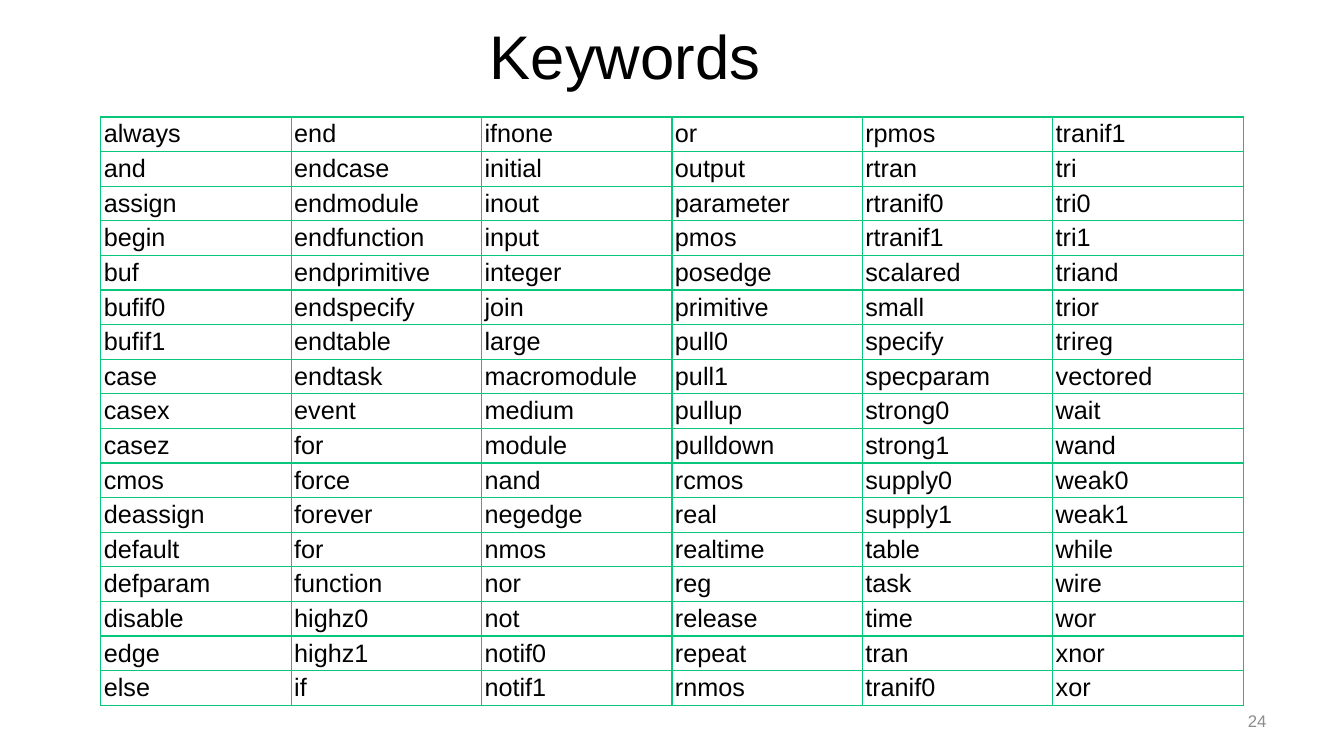
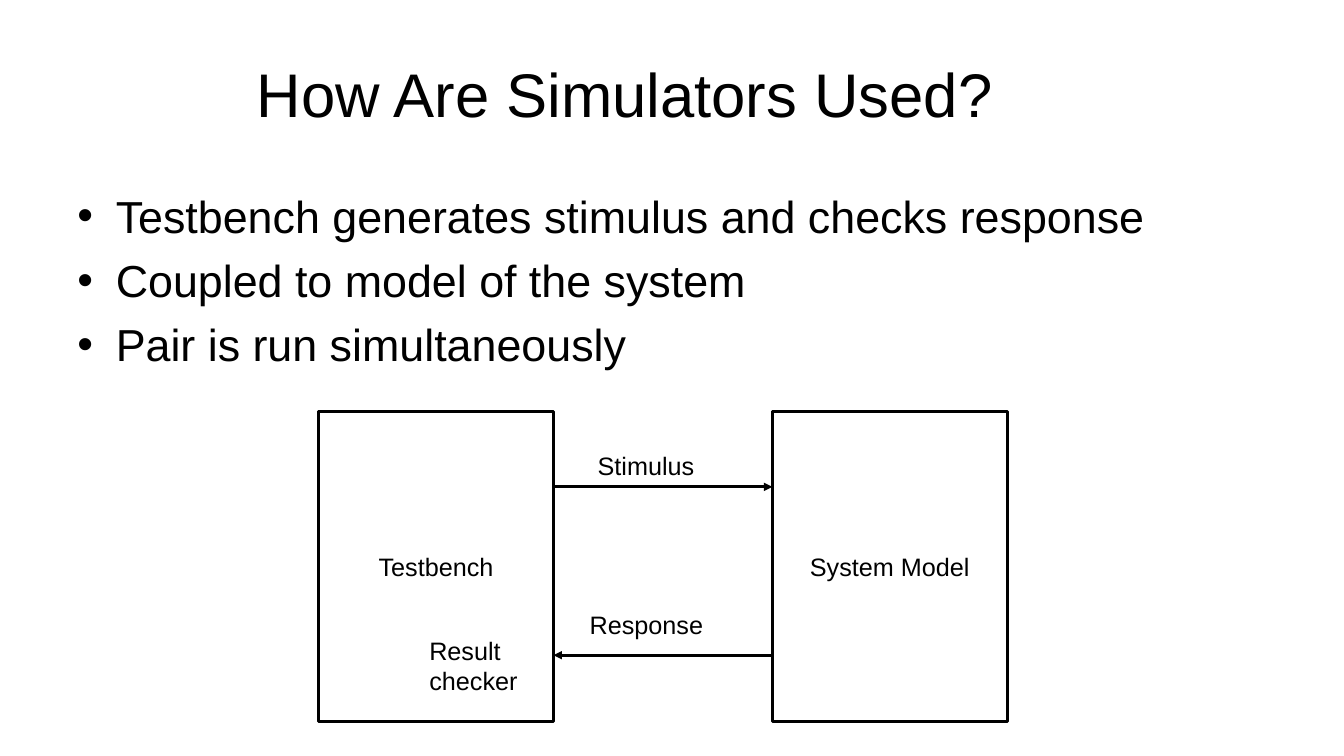
from lxml.etree import SubElement as Sub
from pptx import Presentation
from pptx.dml.color import RGBColor
from pptx.enum.shapes import MSO_CONNECTOR as Conn, MSO_SHAPE as Shape
from pptx.enum.text import MSO_ANCHOR as Anchor, PP_ALIGN as Align
from pptx.oxml.ns import qn
from pptx.util import Inches, Pt

INK, GREEN, GRAY = "000000", "09C77A", "8C8C8C"
TITLE = dict(size=44, align=Align.CENTER, anchor=Anchor.MIDDLE)
PAGE = dict(size=12, ink=GRAY, align=Align.RIGHT, anchor=Anchor.MIDDLE)
BODY = dict(size=32, bullet=0.38, gap=7.4)
BLOCK = dict(align=Align.CENTER, anchor=Anchor.MIDDLE, wrap=False)

WORDS = """
always end ifnone or rpmos tranif1
and endcase initial output rtran tri
assign endmodule inout parameter rtranif0 tri0
begin endfunction input pmos rtranif1 tri1
buf endprimitive integer posedge scalared triand
bufif0 endspecify join primitive small trior
bufif1 endtable large pull0 specify trireg
case endtask macromodule pull1 specparam vectored
casex event medium pullup strong0 wait
casez for module pulldown strong1 wand
cmos force nand rcmos supply0 weak0
deassign forever negedge real supply1 weak1
default for nmos realtime table while
defparam function nor reg task wire
disable highz0 not release time wor
edge highz1 notif0 repeat tran xnor
else if notif1 rnmos tranif0 xor
"""


def color(code):
    return RGBColor.from_string(code)


def apply(target, values):
    for name, value in values.items():
        setattr(target, name, value)


def write(frame, lines, size=18, ink=INK, align=Align.LEFT,
          anchor=Anchor.TOP, wrap=True, bullet=0, gap=0):
    apply(frame, dict(word_wrap=wrap, vertical_anchor=anchor))
    for i, line in enumerate(lines):
        para = frame.add_paragraph() if i else frame.paragraphs[0]
        para.alignment = align
        if i and gap:
            para.space_before = Pt(gap)
        if bullet:
            props = para._p.get_or_add_pPr()
            props.set("marL", str(Inches(bullet)))
            props.set("indent", str(-Inches(bullet)))
            Sub(props, qn("a:buFont"), typeface="Arial")
            Sub(props, qn("a:buChar"), char="•")
        run = para.add_run()
        run.text = line
        apply(run.font, dict(name="Arial", size=Pt(size)))
        run.font.color.rgb = color(ink)


def label(shapes, box, *lines, **style):
    frame = shapes.add_textbox(*map(Inches, box)).text_frame
    write(frame, lines, **style)
    return frame


def title(slide, top, text):
    label(slide.shapes, (0.66, top, 11.08, 1.25), text, **TITLE)


def border(cell, code, width):
    props = cell._tc.get_or_add_tcPr()
    for side in ("lnL", "lnR", "lnT", "lnB"):
        line = Sub(props, qn(f"a:{side}"), w=str(Pt(width)))
        fill = Sub(line, qn("a:solidFill"))
        Sub(fill, qn("a:srgbClr"), val=code)


def grid(slide, box, rows):
    left, top, width, height = box
    table = slide.shapes.add_table(
        len(rows), len(rows[0]), *map(Inches, box)).table
    apply(table, dict(first_row=False, horz_banding=False))
    for col in table.columns:
        col.width = Inches(width / len(rows[0]))
    for line, row in zip(table.rows, rows):
        line.height = Inches(height / len(rows))
        for cell, word in zip(line.cells, row):
            border(cell, GREEN, 1)
            cell.fill.background()
            apply(cell, dict(
                margin_left=Inches(0.03), margin_right=Inches(0.03),
                margin_top=Inches(0.02), margin_bottom=Inches(0.02),
                vertical_anchor=Anchor.MIDDLE))
            write(cell.text_frame, [word], anchor=Anchor.MIDDLE)


def block(shapes, box, text):
    shape = shapes.add_shape(Shape.RECTANGLE, *map(Inches, box))
    shape.shadow.inherit = False
    shape.fill.background()
    shape.line.color.rgb = color(INK)
    shape.line.width = Pt(2)
    write(shape.text_frame, [text], **BLOCK)


def arrow(shapes, start, end, y):
    line = shapes.add_connector(
        Conn.STRAIGHT, *map(Inches, (start, y, end, y)))
    line.line.color.rgb = color(INK)
    line.line.width = Pt(2)
    Sub(line.line._get_or_add_ln(), qn("a:tailEnd"), type="triangle")
    Sub(line._element.spPr, qn("a:effectLst"))


def diagram(slide, box):
    x, y, width, height = box
    side = 2.33
    near, far = x + side, x + width - side
    parts = slide.shapes.add_group_shape().shapes
    block(parts, (x, y, side, height), "Testbench")
    block(parts, (far, y, side, height), "System Model")
    arrow(parts, near, far, y + 0.75)
    arrow(parts, far, near, y + 2.42)
    for dx, dy, wide, high, text in (
            (2.67, 0.34, 1.67, 0.41, "Stimulus"),
            (2.59, 1.92, 1.67, 0.41, "Response"),
            (1, 2.17, 1.5, 0.72, "Result checker")):
        label(parts, (x + dx, y + dy, wide, high), text)


def keywords(slide):
    title(slide, -0.08, "Keywords")
    rows = [line.split() for line in WORDS.strip().splitlines()]
    grid(slide, (1, 1.16, 11.33, 5.84), rows)
    label(slide.shapes, (9.55, 6.95, 3.11, 0.4), "24", **PAGE)


def usage(slide):
    title(slide, 0.3, "How Are Simulators Used?")
    frame = label(slide.shapes, (0.67, 1.75, 12, 2.14),
                  "Testbench generates stimulus and checks response",
                  "Coupled to model of the system",
                  "Pair is run simultaneously", **BODY)
    frame.margin_top = Inches(0.12)
    diagram(slide, (3.16, 4.08, 6.83, 3.08))


def main():
    deck = Presentation()
    apply(deck, dict(slide_width=Inches(13.33), slide_height=Inches(7.5)))
    for build in (keywords, usage):
        build(deck.slides.add_slide(deck.slide_layouts[6]))
    deck.save("out.pptx")


if __name__ == "__main__":
    main()
